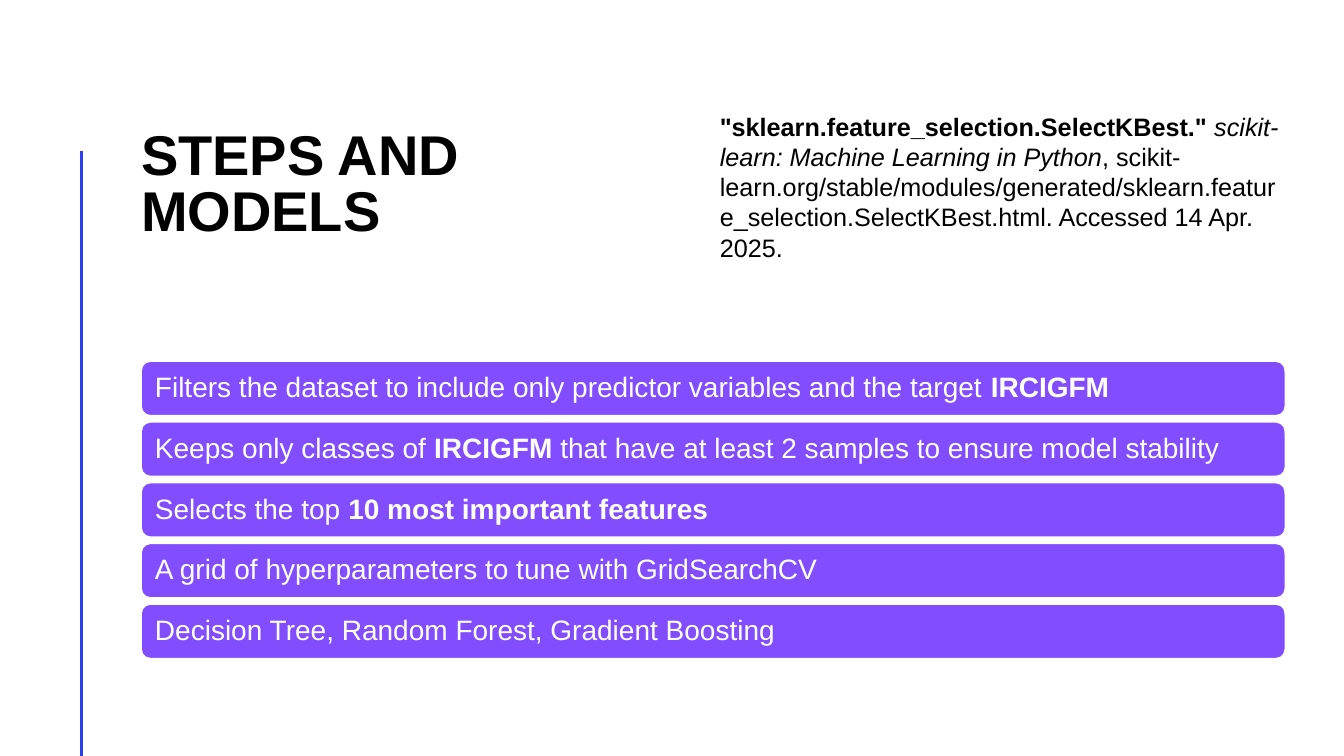
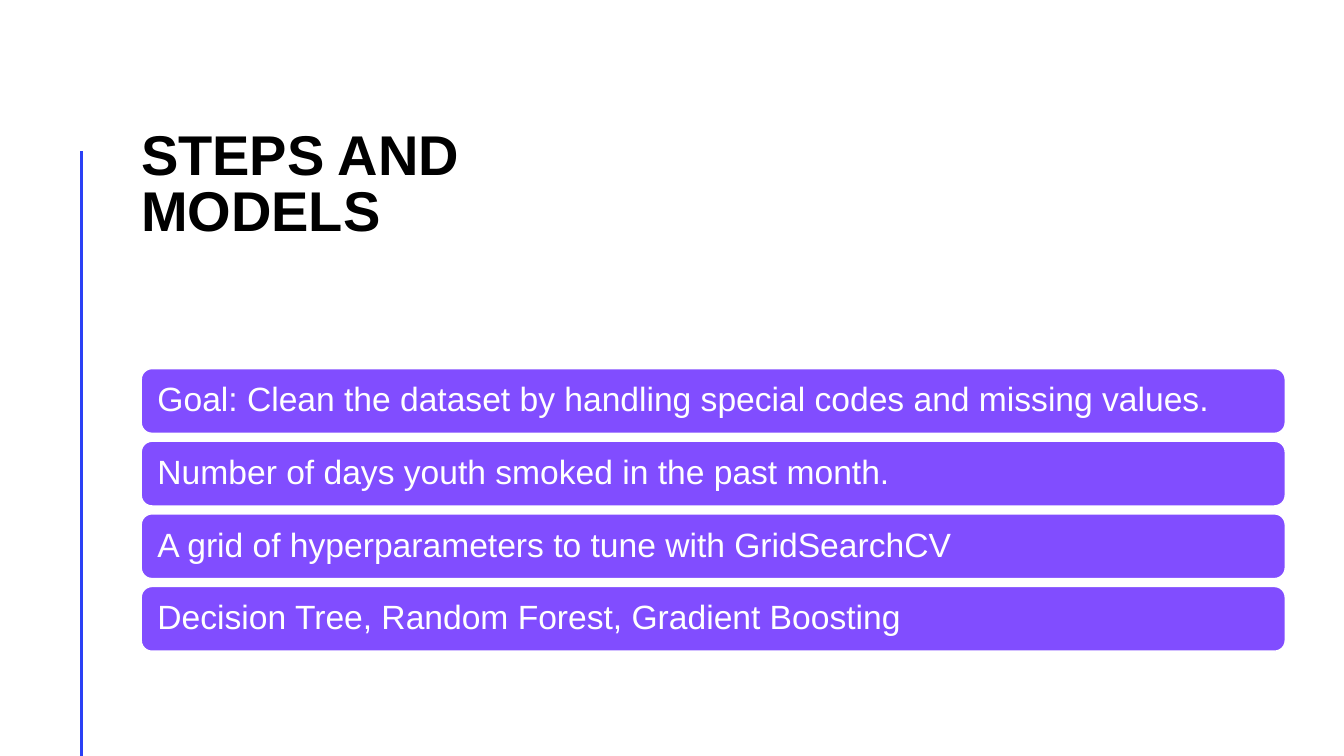
"""Build two slides of modelling steps, each a title over a stack of bars."""
from pptx import Presentation
from pptx.dml.color import RGBColor
from pptx.enum import shapes, text
from pptx.util import Cm, Pt
from lxml import etree

BLACK = RGBColor(0x00, 0x00, 0x00)
WHITE = RGBColor(0xFF, 0xFF, 0xFF)
PURPLE = RGBColor(0x81, 0x4D, 0xFF)
BLUE = RGBColor(0x2A, 0x40, 0xF5)
FONT = "Arial"
DRAWING_NS = "http://schemas.openxmlformats.org/drawingml/2006/main"

LEFT = 3.56
HEAD_TOP, HEAD_HEIGHT = 1.78, 5.84
BAR_WIDTH = 28.83
STACK_MIDDLE = 12.85

TITLE = "STEPS AND MODELS"
CITATION = [
    ('"sklearn.feature_selection.SelectKBest." ', "b"),
    ("scikit-learn: Machine Learning in Python", "i"),
    (", scikit-learn.org/stable/modules/generated/"
     "sklearn.feature_selection.SelectKBest.html. Accessed 14 Apr. 2025.", ""),
]
SHARED_STEPS = [
    [("A grid of hyperparameters to tune with GridSearchCV", "")],
    [("Decision Tree, Random Forest, Gradient Boosting", "")],
]
SELECTION_STEPS = [
    [("Filters the dataset to include only predictor variables and the target ", ""),
     ("IRCIGFM", "b")],
    [("Keeps only classes of ", ""), ("IRCIGFM", "b"),
     (" that have at least 2 samples to ensure model stability", "")],
    [("Selects the top ", ""), ("10 most important features", "b")],
] + SHARED_STEPS
CLEANING_STEPS = [
    [("Goal: Clean the dataset by handling special codes and missing values.", "")],
    [("Number of days youth smoked in the past month.", "")],
] + SHARED_STEPS


def write(sp, runs, size, color, spacing=None, inset=0):
    """Fill a shape with one left-aligned paragraph of (text, style) runs."""
    tf = sp.text_frame
    tf.word_wrap = True
    tf.vertical_anchor = text.MSO_ANCHOR.MIDDLE
    tf.margin_left = tf.margin_right = Cm(inset)
    tf.margin_top = tf.margin_bottom = 0
    p = tf.paragraphs[0]
    p.alignment = text.PP_ALIGN.LEFT
    p.line_spacing = spacing
    for content, style in runs:
        r = p.add_run()
        r.text = content
        r.font.name = FONT
        r.font.size = Pt(size)
        r.font.color.rgb = color
        r.font.bold = style == "b"
        r.font.italic = style == "i"


def add_head_text(s, left, width, runs, size, spacing=None):
    """Add a text box in the band at the top of the slide."""
    sp = s.shapes.add_textbox(Cm(left), Cm(HEAD_TOP), Cm(width), Cm(HEAD_HEIGHT))
    write(sp, runs, size, BLACK, spacing)


def add_side_line(s):
    """Draw the vertical line that runs off the bottom of the slide."""
    line = s.shapes.add_connector(
        shapes.MSO_CONNECTOR.STRAIGHT, Cm(2.06), Cm(3.81), Cm(2.06), Cm(19.05))
    line.line.color.rgb = BLUE
    line.line.width = Pt(2)
    etree.SubElement(line._element.spPr, f"{{{DRAWING_NS}}}effectLst")


def add_bars(s, steps, size, height, gap, inset):
    """Stack one rounded bar per step around the common middle."""
    pitch = height + gap
    top = STACK_MIDDLE - (len(steps) * pitch - gap) / 2
    for i, runs in enumerate(steps):
        sp = s.shapes.add_shape(
            shapes.MSO_SHAPE.ROUNDED_RECTANGLE,
            Cm(LEFT), Cm(top + i * pitch), Cm(BAR_WIDTH), Cm(height))
        sp.shadow.inherit = False
        sp.fill.solid()
        sp.fill.fore_color.rgb = PURPLE
        sp.line.color.rgb = WHITE
        sp.line.width = Pt(1)
        write(sp, runs, size, WHITE, 0.9, inset)


def add_steps_slide(prs):
    """Add a blank slide with the side line and the title."""
    s = prs.slides.add_slide(prs.slide_layouts[6])
    add_side_line(s)
    add_head_text(s, LEFT, 13.39, [(TITLE, "b")], 40, Pt(40))
    return s


def main():
    """Build and save the presentation."""
    prs = Presentation()
    prs.slide_width, prs.slide_height = Cm(33.87), Cm(19.05)

    s = add_steps_slide(prs)
    add_head_text(s, 18.14, 14.23, CITATION, 18)
    add_bars(s, SELECTION_STEPS, size=20, height=1.37, gap=0.16, inset=0.28)

    s = add_steps_slide(prs)
    add_bars(s, CLEANING_STEPS, size=24, height=1.63, gap=0.2, inset=0.33)

    prs.save("out.pptx")


if __name__ == "__main__":
    main()
